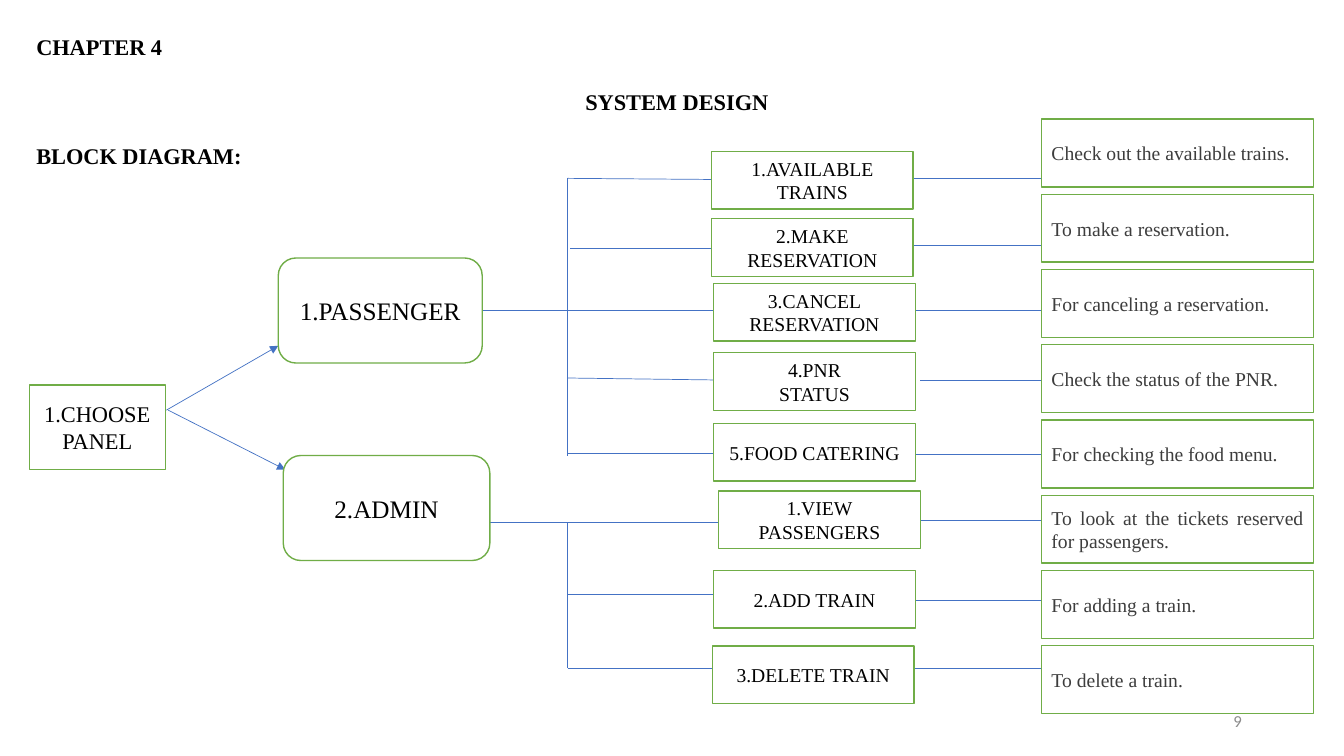
from dataclasses import dataclass

from lxml.etree import SubElement
from pptx import Presentation
from pptx.dml.color import RGBColor
from pptx.enum.shapes import MSO_CONNECTOR as Connector, MSO_SHAPE as Shape
from pptx.enum.text import MSO_ANCHOR as Anchor, MSO_AUTO_SIZE as AutoSize, PP_ALIGN as Align
from pptx.oxml.ns import qn
from pptx.slide import Slide
from pptx.text.text import TextFrame
from pptx.util import Pt

COLORS = {
    "white": "FFFFFF",
    "black": "000000",
    "border": "70AD47",
    "link": "4472C4",
    "detail": "3D3D3D",
    "number": "8C8C8C",
}
SERIF = "Times New Roman"
TRUNK_X = 405.4
ACTION_WIDTH, ACTION_HEIGHT = 144, 41.2
DETAIL_LEFT, DETAIL_TOP, DETAIL_PITCH = 744, 85, 53.75
DETAIL_WIDTH, DETAIL_HEIGHT = 194.4, 48.5
LINK_LENGTH = 95.5


@dataclass
class Box:
    text: str
    left: float
    top: float
    width: float
    height: float
    size: float
    shape: Shape = Shape.RECTANGLE
    color: str = "black"
    align: Align = Align.CENTER


@dataclass
class Line:
    x1: float
    y1: float
    x2: float
    y2: float
    arrow: bool = False


@dataclass
class Task:
    action: str
    left: float
    top: float
    branch_x: float
    branch_y: float
    branch_end_y: float
    link_x: float
    link_y: float
    detail: str


HEADINGS = [
    ("CHAPTER 4", Align.JUSTIFY),
    ("SYSTEM DESIGN", Align.CENTER),
    ("BLOCK DIAGRAM:", Align.JUSTIFY),
]
PANELS = [
    Box("1.CHOOSE\nPANEL", 20.9, 275, 97.2, 60.5, 16),
    Box("1.PASSENGER", 198.8, 184.3, 145.7, 75, 18, Shape.ROUNDED_RECTANGLE),
    Box("2.ADMIN", 202.3, 325.4, 147.6, 75, 18, Shape.ROUNDED_RECTANGLE),
]
TASKS = [
    Task("1.AVAILABLE\nTRAINS", 508.3, 108, TRUNK_X, 127.4, 128.2, 650.9, 127.4,
         "Check out the available trains."),
    Task("2.MAKE\nRESERVATION", 508.3, 156.2, 407.5, 177.1, 177.1, 652.3, 175.3,
         "To make a reservation."),
    Task("3.CANCEL\nRESERVATION", 509.8, 202.3, TRUNK_X, 221.8, 221.8, 649.4, 221.8,
         "For canceling a reservation."),
    Task("4.PNR\nSTATUS", 509.8, 252, TRUNK_X, 270, 271.4, 657.4, 271.4,
         "Check the status of the PNR."),
    Task("5.FOOD CATERING", 509.8, 302.4, TRUNK_X, 324, 324, 654.5, 324.7,
         "For checking the food menu."),
    Task("1.VIEW\nPASSENGERS", 513.4, 350.6, TRUNK_X, 373, 373, 657.4, 371.5,
         "To look at the tickets reserved for passengers."),
    Task("2.ADD TRAIN", 509.8, 407.5, TRUNK_X, 424.8, 424.8, 650.9, 429.1,
         "For adding a train."),
    Task("3.DELETE TRAIN", 509, 461.5, TRUNK_X, 477.4, 477.4, 652.3, 477.7,
         "To delete a train."),
]
TREE = [
    Line(118.8, 293, 198.8, 247, arrow=True),
    Line(120.2, 293, 203.8, 335.5, arrow=True),
    Line(344.9, 221.8, 445, 221.8),
    Line(TRUNK_X, 127.4, TRUNK_X, 325.4),
    Line(349.9, 373, TRUNK_X, 373),
    Line(TRUNK_X, 373, TRUNK_X, 477.4),
]


def rgb(name: str) -> RGBColor:
    return RGBColor.from_string(COLORS[name])


def style_text(frame: TextFrame, size: float, color: str, align: Align,
               font: str = SERIF) -> None:
    frame.word_wrap = True
    frame.vertical_anchor = Anchor.MIDDLE
    for para in frame.paragraphs:
        para.alignment = align
        para.font.size = Pt(size)
        para.font.name = font
        para.font.color.rgb = rgb(color)


def add_headings(page: Slide) -> None:
    title = page.shapes.title
    title.left, title.top, title.width, title.height = Pt(18.7), Pt(10.8), Pt(929.5), Pt(525)
    frame = title.text_frame
    frame.text = "\n".join(text for text, _ in HEADINGS)
    style_text(frame, 16, "black", Align.JUSTIFY)
    frame.auto_size = AutoSize.NONE
    frame.vertical_anchor = Anchor.TOP
    for para, (_, align) in zip(frame.paragraphs, HEADINGS):
        para.alignment = align
        para.line_spacing = 1.5
        para.space_before = Pt(10)
        para.font.bold = True


def add_page_number(page: Slide) -> None:
    number = page.shapes.add_textbox(Pt(678.2), Pt(500.4), Pt(216), Pt(28.8))
    number.text_frame.text = "9"
    style_text(number.text_frame, 12, "number", Align.RIGHT, "Calibri")


def add_box(page: Slide, box: Box) -> None:
    shape = page.shapes.add_shape(box.shape, Pt(box.left), Pt(box.top),
                                  Pt(box.width), Pt(box.height))
    shape.shadow.inherit = False
    shape.fill.solid()
    shape.fill.fore_color.rgb = rgb("white")
    shape.line.color.rgb = rgb("border")
    shape.line.width = Pt(1)
    shape.text_frame.text = box.text
    style_text(shape.text_frame, box.size, box.color, box.align)


def add_line(page: Slide, line: Line) -> None:
    connector = page.shapes.add_connector(Connector.STRAIGHT, Pt(line.x1), Pt(line.y1),
                                          Pt(line.x2), Pt(line.y2))
    connector.line.color.rgb = rgb("link")
    connector.line.width = Pt(0.5)
    properties = connector.element.spPr
    if line.arrow:
        SubElement(properties.find(qn("a:ln")), qn("a:tailEnd"), type="triangle")
    SubElement(properties, qn("a:effectLst"))


def main() -> None:
    deck = Presentation()
    deck.slide_width, deck.slide_height = Pt(960), Pt(540)
    page = deck.slides.add_slide(deck.slide_layouts[5])
    add_headings(page)
    add_page_number(page)

    branches = [Line(task.branch_x, task.branch_y, task.left, task.branch_end_y)
                for task in TASKS]
    links = [Line(task.link_x, task.link_y, task.link_x + LINK_LENGTH, task.link_y)
             for task in TASKS]
    details = [Box(task.detail, DETAIL_LEFT, DETAIL_TOP + row * DETAIL_PITCH,
                   DETAIL_WIDTH, DETAIL_HEIGHT, 14, Shape.FLOWCHART_PROCESS,
                   "detail", Align.JUSTIFY)
               for row, task in enumerate(TASKS)]
    actions = [Box(task.action, task.left, task.top, ACTION_WIDTH, ACTION_HEIGHT, 14)
               for task in TASKS]

    for line in TREE + branches + links:
        add_line(page, line)
    for box in PANELS + details + actions:
        add_box(page, box)
    deck.save("out.pptx")


if __name__ == "__main__":
    main()
